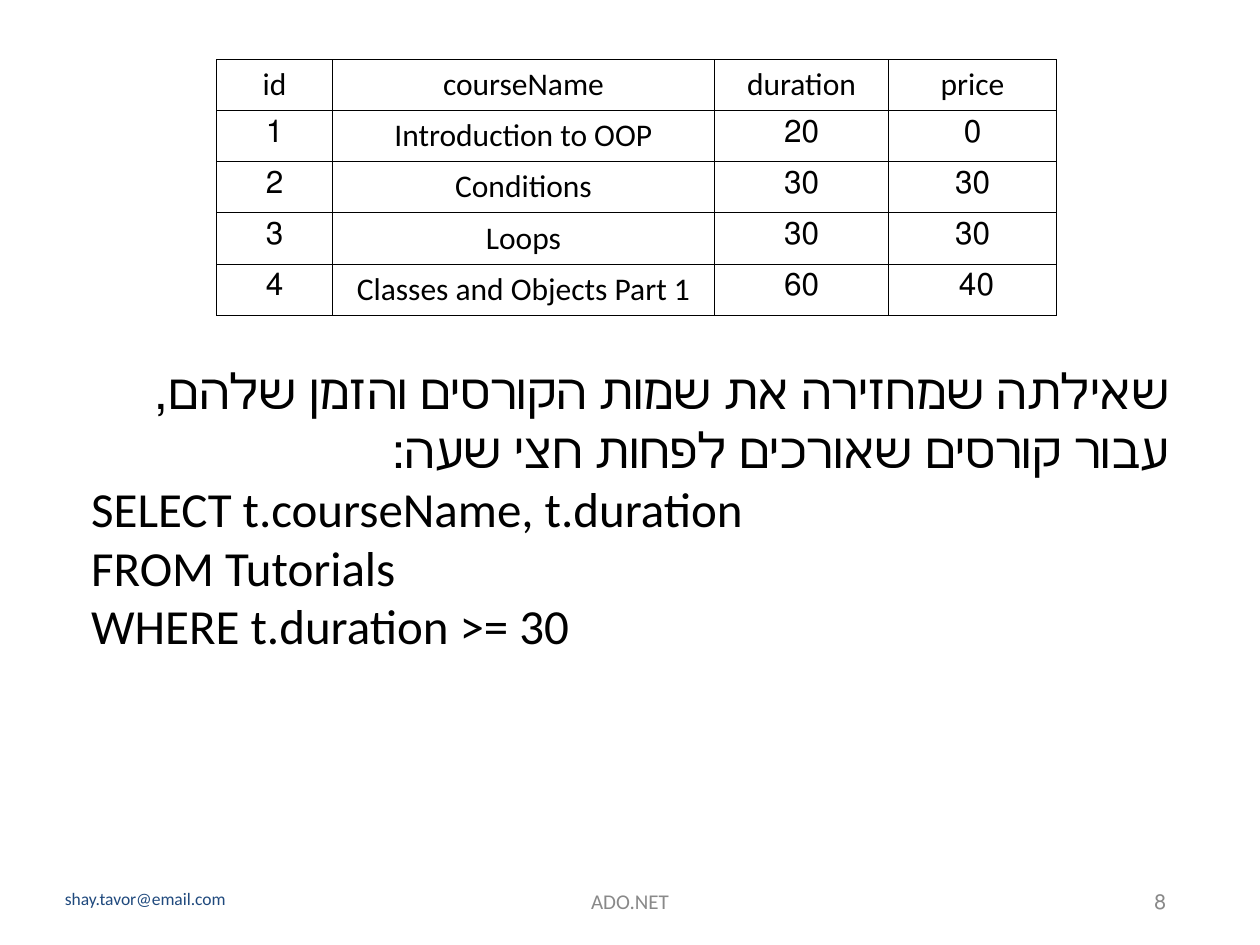
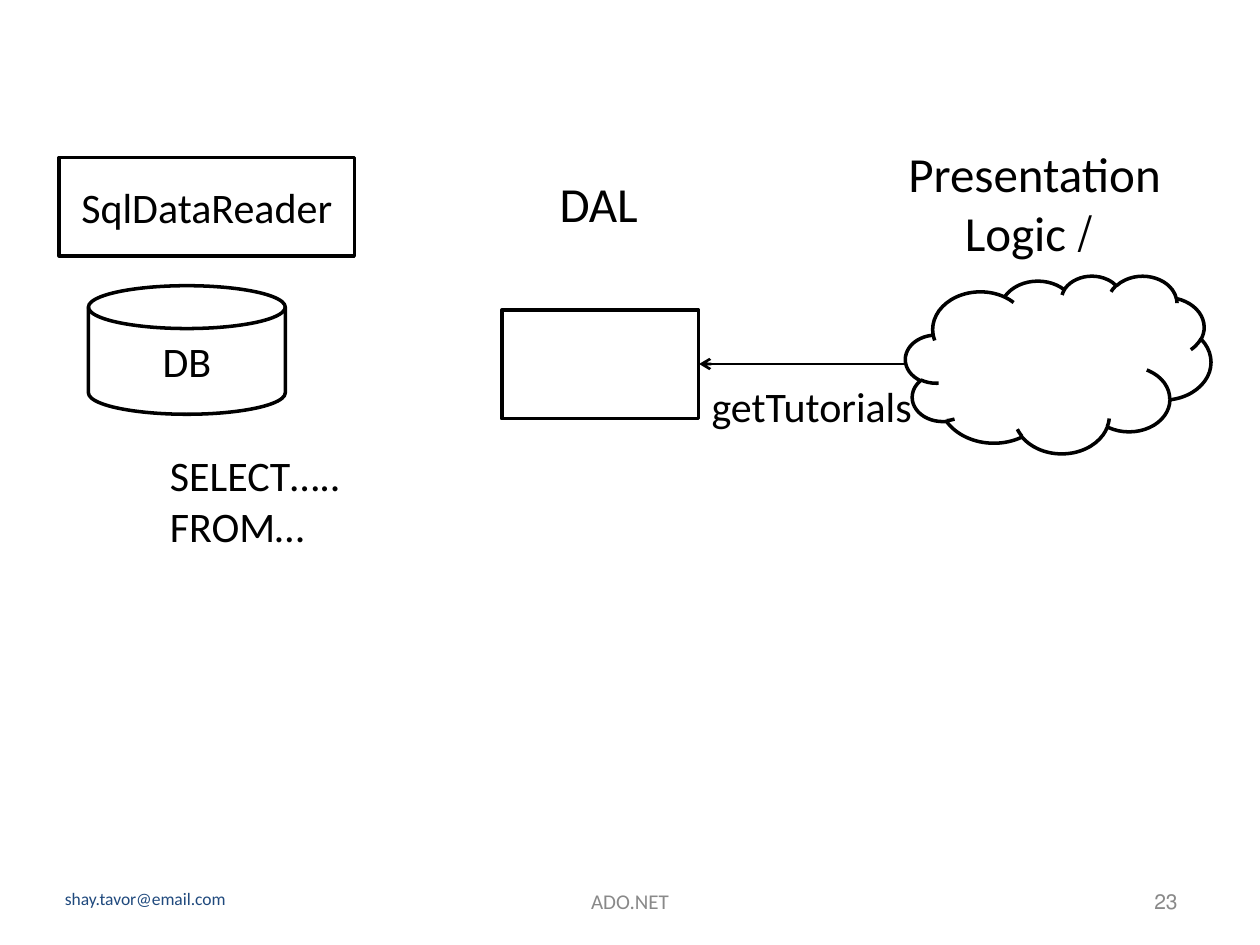
from dataclasses import dataclass, field
from typing import Any, Optional

import pptx
import pptx.dml.color
import pptx.enum.shapes
import pptx.enum.text
import pptx.oxml.ns
import pptx.util
from lxml import etree

Pt = pptx.util.Pt
Align = pptx.enum.text.PP_ALIGN
Anchor = pptx.enum.text.MSO_ANCHOR
Preset = pptx.enum.shapes.MSO_SHAPE
qn = pptx.oxml.ns.qn

COLORS = {"ink": "000000", "paper": "FFFFFF", "email": "1F497D", "footer": "898989"}
FONT = "Calibri"
FRAME_FORMAT = {
    "word_wrap": True,
    "margin_left": Pt(7.2),
    "margin_right": Pt(7.2),
    "margin_top": Pt(3.6),
    "margin_bottom": Pt(3.6),
}
TABLE_FORMAT = {"first_row": False, "horz_banding": False}


@dataclass(frozen=True)
class Line:
    text: str
    align: Any = Align.LEFT
    rtl: bool = False


@dataclass(frozen=True)
class Box:
    left: float
    top: float
    width: float
    height: float
    lines: list[Line] = field(default_factory=list)
    size: float = 24
    color: str = "ink"
    anchor: Any = Anchor.TOP
    preset: Optional[Any] = None


def centred(text: str) -> Line:
    return Line(text, Align.CENTER, True)


def rgb(name: str) -> pptx.dml.color.RGBColor:
    return pptx.dml.color.RGBColor.from_string(COLORS[name])


def apply_format(target: Any, values: dict[str, Any]) -> None:
    for name, value in values.items():
        setattr(target, name, value)


def write_lines(frame: Any, lines: list[Line], size: float, color: str) -> None:
    for index, line in enumerate(lines):
        paragraph = frame.paragraphs[0] if index == 0 else frame.add_paragraph()
        paragraph.alignment = line.align
        if line.rtl:
            paragraph._p.get_or_add_pPr().set("rtl", "1")
        run = paragraph.add_run()
        run.text = line.text
        apply_format(run.font, {"name": FONT, "size": Pt(size)})
        run.font.color.rgb = rgb(color)


def draw_box(slide: Any, box: Box) -> None:
    bounds = [Pt(value) for value in (box.left, box.top, box.width, box.height)]
    if box.preset is None:
        shape = slide.shapes.add_textbox(*bounds)
    else:
        shape = slide.shapes.add_shape(box.preset, *bounds)
        shape.shadow.inherit = False
        shape.fill.solid()
        shape.fill.fore_color.rgb = rgb("paper")
        shape.line.color.rgb = rgb("ink")
        shape.line.width = Pt(2)
    apply_format(shape.text_frame, {**FRAME_FORMAT, "vertical_anchor": box.anchor})
    write_lines(shape.text_frame, box.lines, box.size, box.color)


def draw_arrow(slide: Any, start: tuple[float, float], end: tuple[float, float]) -> None:
    arrow = slide.shapes.add_connector(
        pptx.enum.shapes.MSO_CONNECTOR.STRAIGHT, *(Pt(value) for value in (*start, *end))
    )
    arrow.line.color.rgb = rgb("ink")
    arrow.line.width = Pt(1.5)
    etree.SubElement(arrow.line._get_or_add_ln(), qn("a:tailEnd"), type="arrow")
    etree.SubElement(arrow._element.spPr, qn("a:effectLst"))


def add_borders(cell: Any) -> None:
    properties = cell._tc.get_or_add_tcPr()
    for side in ("a:lnL", "a:lnR", "a:lnT", "a:lnB"):
        border = etree.SubElement(properties, qn(side), w=str(Pt(0.45)))
        fill = etree.SubElement(border, qn("a:solidFill"))
        etree.SubElement(fill, qn("a:srgbClr"), val=COLORS["ink"])


def draw_table(slide: Any, left: float, top: float, widths: list[float],
               row_height: float, rows: list[list[str]]) -> None:
    table = slide.shapes.add_table(
        len(rows), len(widths), Pt(left), Pt(top), Pt(sum(widths)), Pt(row_height * len(rows))
    ).table
    apply_format(table, TABLE_FORMAT)
    for column, width in zip(table.columns, widths):
        column.width = Pt(width)
    for row, texts in zip(table.rows, rows):
        row.height = Pt(row_height)
        for cell, text in zip(row.cells, texts):
            add_borders(cell)
            cell.fill.background()
            write_lines(cell.text_frame, [centred(text)], 18, "ink")


def add_slide(presentation: Any, number: str) -> Any:
    slide = presentation.slides.add_slide(presentation.slide_layouts[6])
    footers = [
        Box(30, 504, 202, 19.5, [Line("shay.tavor@email.com")], 10, "email"),
        Box(246, 500.5, 228, 28.75, [centred("ADO.NET")], 12, "footer", Anchor.MIDDLE),
        Box(652.5, 500.5, 31.5, 28.75, [Line(number, rtl=True)], 12, "footer", Anchor.MIDDLE),
    ]
    for footer in footers:
        draw_box(slide, footer)
    return slide


def build_query_slide(presentation: Any) -> None:
    slide = add_slide(presentation, "8")
    courses = [
        ["id", "courseName", "duration", "price"],
        ["1", "Introduction to OOP", "20", "0"],
        ["2", "Conditions", "30", "30"],
        ["3", "Loops", "30", "30"],
        ["4", "Classes and Objects Part 1", "60", "40 "],
    ]
    draw_table(slide, 123.75, 34, [66.25, 218.25, 99.5, 96], 29.2, courses)
    question = "שאילתה שמחזירה את שמות הקורסים והזמן שלהם, עבור קורסים שאורכים לפחות חצי שעה:"
    query = ["SELECT t.courseName, t.duration", "FROM Tutorials", "WHERE t.duration >= 30"]
    lines = [Line(question, Align.RIGHT, True), *map(Line, query)]
    draw_box(slide, Box(45, 202.5, 630, 175.5, lines, 28))


def build_layers_slide(presentation: Any) -> None:
    slide = add_slide(presentation, "23")
    logic_title = [centred("Presentation "), centred("/ Logic")]
    boxes = [
        Box(50.5, 163.25, 112.5, 73.5, [centred("DB")], anchor=Anchor.MIDDLE,
            preset=Preset.FLOWCHART_MAGNETIC_DISK),
        Box(298, 95.75, 73.5, 41, [Line("DAL", Align.RIGHT, True)], 28),
        Box(286.75, 177.25, 112.5, 62, preset=Preset.RECTANGLE),
        Box(500.5, 78.5, 174.25, 75, logic_title, 28),
        Box(517.5, 157.5, 174.5, 101.5, preset=Preset.CLOUD),
        Box(399.5, 214, 140.5, 36, [Line("getTutorials")]),
        Box(90, 253.5, 129.5, 65, [Line("SELECT….."), Line("FROM…")]),
        Box(33.75, 90, 168.75, 56.25, [centred("SqlDataReader")], anchor=Anchor.MIDDLE,
            preset=Preset.RECTANGLE),
    ]
    for box in boxes:
        draw_box(slide, box)
    draw_arrow(slide, (517.5, 208), (399.5, 208))


def main() -> None:
    presentation = pptx.Presentation()
    apply_format(presentation, {"slide_width": Pt(720), "slide_height": Pt(540)})
    build_query_slide(presentation)
    build_layers_slide(presentation)
    presentation.save("out.pptx")


if __name__ == "__main__":
    main()
